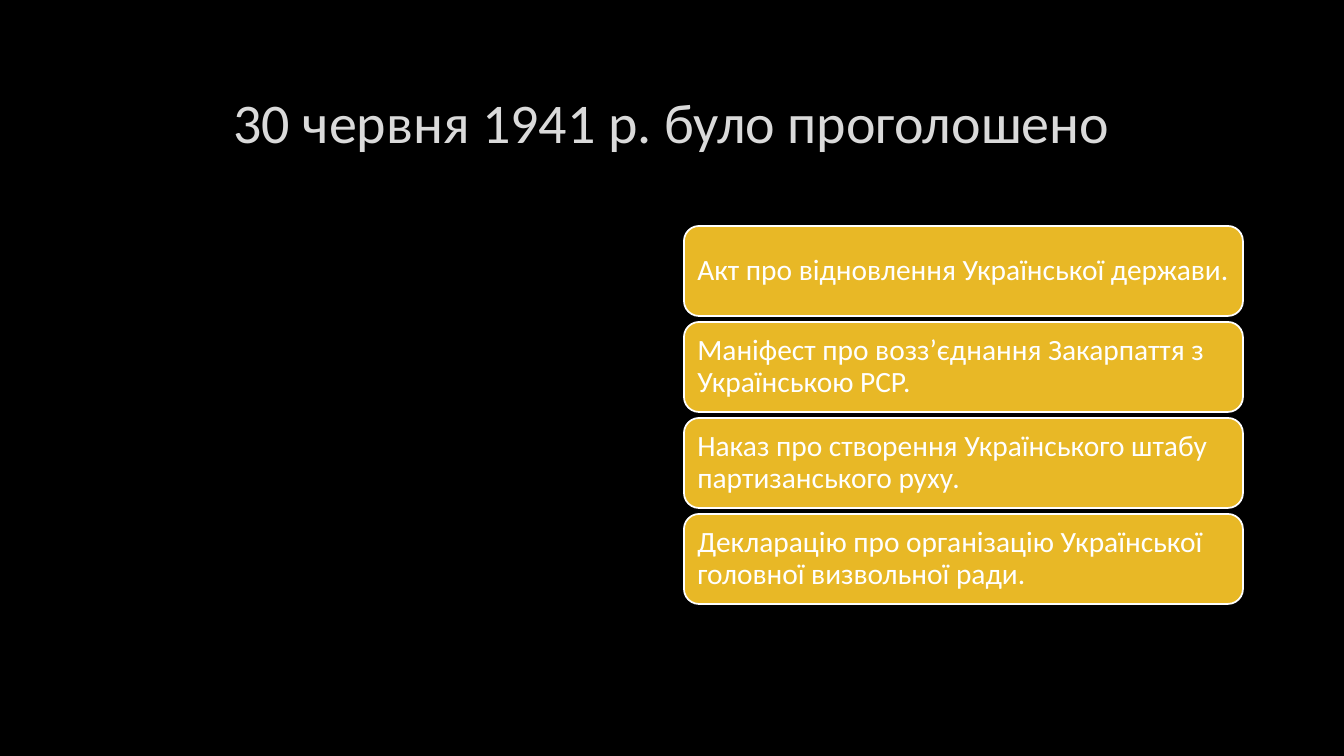
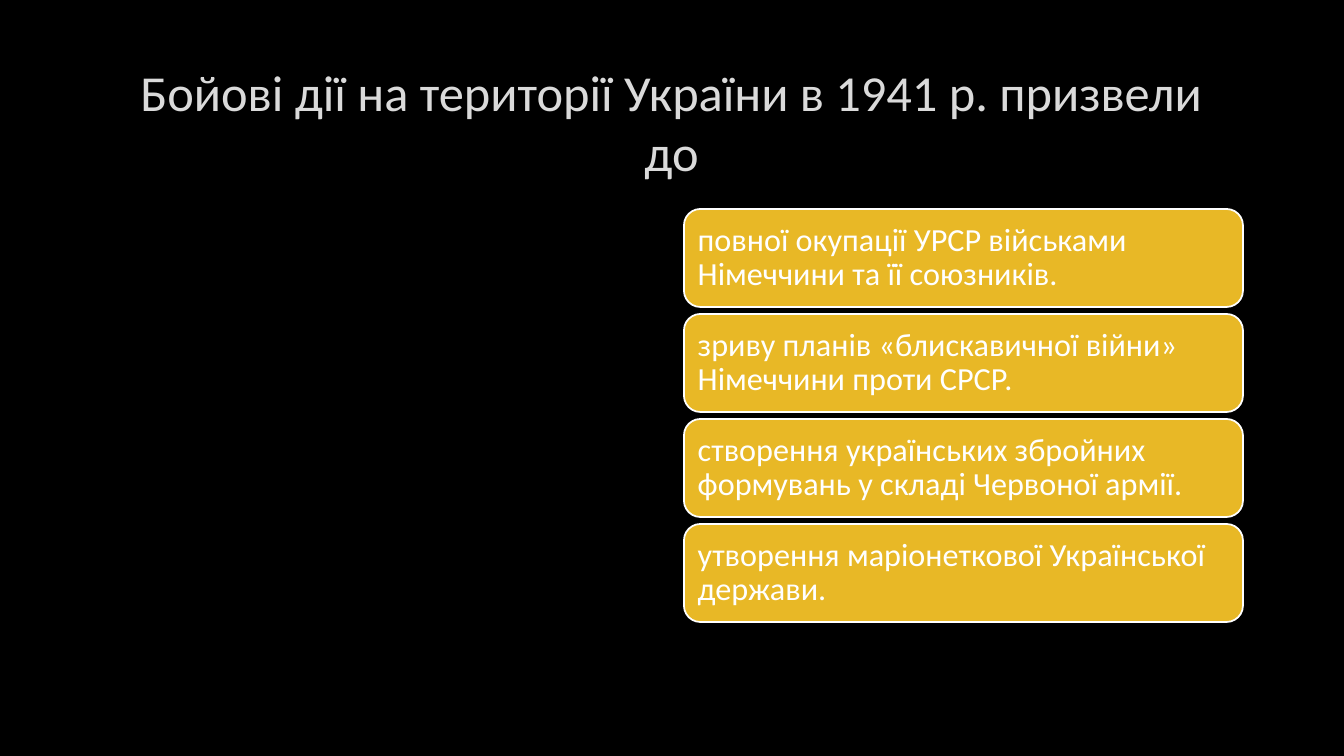
from dataclasses import dataclass

from pptx import Presentation
from pptx.dml.color import RGBColor
from pptx.enum.shapes import MSO_SHAPE
from pptx.enum.text import MSO_ANCHOR, PP_ALIGN
from pptx.slide import Slide
from pptx.text.text import TextFrame
from pptx.util import Emu, Pt

ROUNDED = MSO_SHAPE.ROUNDED_RECTANGLE
MIDDLE = MSO_ANCHOR.MIDDLE
LEFT, CENTER = PP_ALIGN.LEFT, PP_ALIGN.CENTER

BLACK = RGBColor(0x00, 0x00, 0x00)
WHITE = RGBColor(0xFF, 0xFF, 0xFF)
SILVER = RGBColor(0xDA, 0xDA, 0xDA)
GOLD = RGBColor(0xE8, 0xB8, 0x26)
FONT = "Calibri"

# Layout in px
SLIDE_W, SLIDE_H = 1344, 756
EMU_PER_PX = 12192000 / SLIDE_W
TITLE_BOX = (101, 68, 1141, 107)
ANSWER_LEFT, ANSWER_W = 684, 559
ANSWERS_MIDDLE = 415
INSET_LEFT, INSET_RIGHT = 9, 4


@dataclass(frozen=True)
class Question:
    title: str
    title_pt: int
    answers: tuple[str, ...]
    answer_pt: int
    answer_h: int
    gap: int


QUESTIONS = (
    Question(
        "30 червня 1941 р. було проголошено", 40,
        (
            "Акт про відновлення Української держави.",
            "Маніфест про возз’єднання Закарпаття з Українською РСР.",
            "Наказ про створення Українського штабу партизанського руху.",
            "Декларацію про організацію Української головної визвольної ради.",
        ),
        answer_pt=21, answer_h=90, gap=6,
    ),
    Question(
        "Бойові дії на території України в 1941 р. призвели до", 36,
        (
            "повної окупації УРСР військами Німеччини та її союзників.",
            "зриву планів «блискавичної війни» Німеччини проти СРСР.",
            "створення українських збройних формувань у складі Червоної армії.",
            "утворення маріонеткової Української держави.",
        ),
        answer_pt=23, answer_h=98, gap=7,
    ),
)


def px(length: int) -> Emu:
    return Emu(round(length * EMU_PER_PX))


def set_text(frame: TextFrame, text: str, size: int, color: RGBColor,
             align: PP_ALIGN) -> None:
    frame.text = text
    frame.word_wrap = True
    frame.vertical_anchor = MIDDLE
    paragraph = frame.paragraphs[0]
    paragraph.alignment = align
    font = paragraph.runs[0].font
    font.name, font.size, font.color.rgb = FONT, Pt(size), color


def add_title(slide: Slide, question: Question) -> None:
    title = slide.shapes.add_textbox(*map(px, TITLE_BOX))
    set_text(title.text_frame, question.title, question.title_pt, SILVER, CENTER)


def add_answer(slide: Slide, text: str, top: int, height: int, size: int) -> None:
    answer = slide.shapes.add_shape(
        ROUNDED, px(ANSWER_LEFT), px(top), px(ANSWER_W), px(height))
    answer.shadow.inherit = False
    answer.fill.solid()
    answer.fill.fore_color.rgb = GOLD
    answer.line.color.rgb = WHITE
    answer.line.width = Pt(1.25)
    frame = answer.text_frame
    set_text(frame, text, size, WHITE, LEFT)
    frame.margin_left, frame.margin_right = px(INSET_LEFT), px(INSET_RIGHT)
    frame.margin_top = frame.margin_bottom = 0
    frame.paragraphs[0].line_spacing = 0.9


def add_question(deck: Presentation, question: Question) -> None:
    slide = deck.slides.add_slide(deck.slide_layouts[6])
    slide.background.fill.solid()
    slide.background.fill.fore_color.rgb = BLACK
    add_title(slide, question)

    # Answers: an evenly spaced stack around one middle line
    pitch = question.answer_h + question.gap
    stack_h = len(question.answers) * pitch - question.gap
    first_top = ANSWERS_MIDDLE - stack_h // 2
    for row, text in enumerate(question.answers):
        add_answer(slide, text, first_top + row * pitch,
                   question.answer_h, question.answer_pt)


def main() -> None:
    deck = Presentation()
    deck.slide_width, deck.slide_height = px(SLIDE_W), px(SLIDE_H)
    for question in QUESTIONS:
        add_question(deck, question)
    deck.save("out.pptx")


if __name__ == "__main__":
    main()
